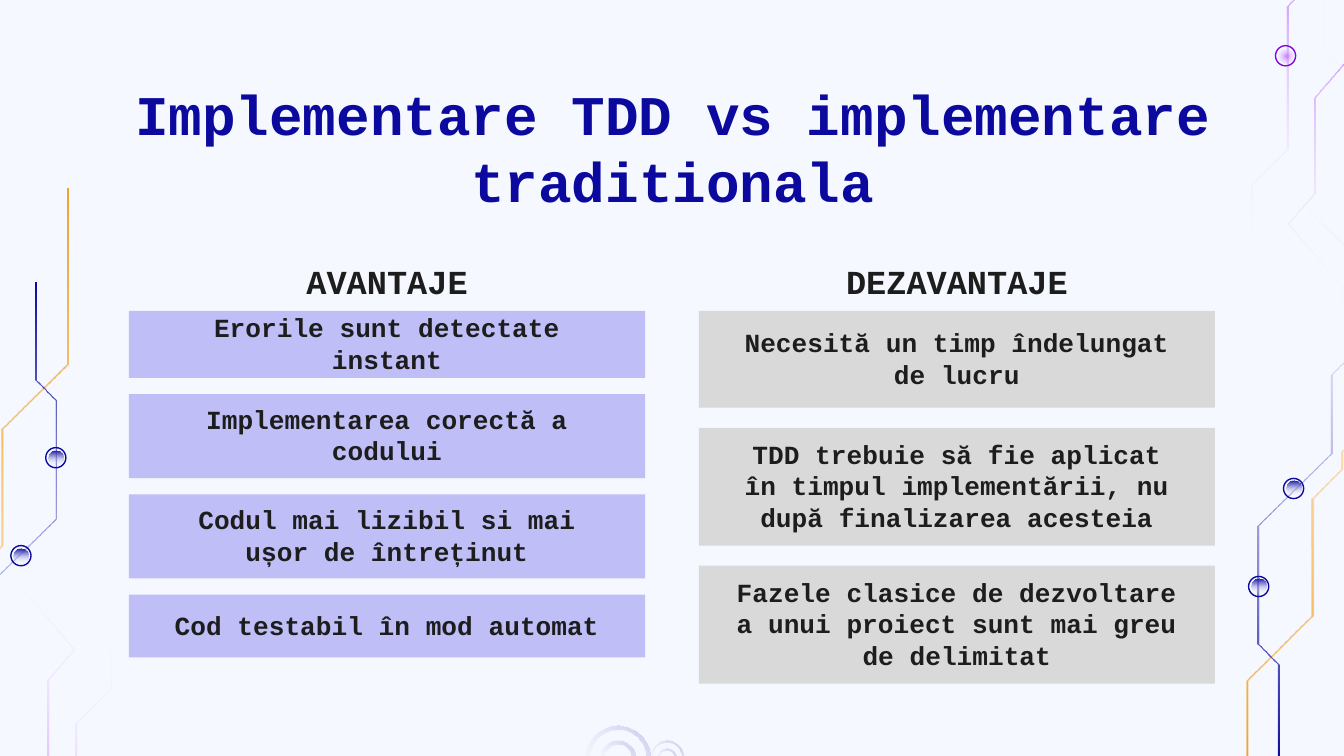
"""Build a slide comparing the advantages and drawbacks of TDD."""
from pptx import Presentation
from pptx.dml.color import RGBColor
from pptx.enum.shapes import MSO_SHAPE
from pptx.enum.text import MSO_ANCHOR, PP_ALIGN
from pptx.oxml import parse_xml
from pptx.oxml.ns import nsdecls, qn
from pptx.util import Pt

RECTANGLE, OVAL, DONUT = MSO_SHAPE.RECTANGLE, MSO_SHAPE.OVAL, MSO_SHAPE.DONUT
TOP, MIDDLE, BOTTOM = MSO_ANCHOR.TOP, MSO_ANCHOR.MIDDLE, MSO_ANCHOR.BOTTOM
CENTER = PP_ALIGN.CENTER
color = RGBColor.from_string
NAVY, VIOLET, INK = "0C0A9E", "8208D5", "1D1D1D"
CLEAR = (100, "FFFFFF", 0)
ORANGE_FADE = [(0, "EB9109", 100), (40, "FF9900", 41), CLEAR]
BLUE_FADE = [(0, NAVY, 100), CLEAR]
PURPLE_FADE = [(0, "9900FF", 47), CLEAR]
RING_FADE = [(0, NAVY, 20), CLEAR]


def fill_gradient(shape, stops, angle=None):
    """Fill a shape with a fading gradient, radial when no angle is given."""
    shape.shadow.inherit = False
    shape.line.fill.background()
    shape.fill.background()
    stop_xml = "".join(
        f'<a:gs pos="{position * 1000}"><a:srgbClr val="{value}">'
        f'<a:alpha val="{opacity * 1000}"/></a:srgbClr></a:gs>'
        for position, value, opacity in stops)
    if angle is None:
        direction = ('<a:path path="circle"><a:fillToRect l="50000" t="50000" '
                     'r="50000" b="50000"/></a:path>')
    else:
        direction = f'<a:lin ang="{angle * 60000}" scaled="0"/>'
    gradient = parse_xml(f'<a:gradFill {nsdecls("a")} rotWithShape="1"><a:gsLst>'
                         f'{stop_xml}</a:gsLst>{direction}</a:gradFill>')
    properties = shape._element.spPr
    properties.replace(properties.find(qn("a:noFill")), gradient)


def write(shape, text, size, value, anchor, margins=(7.2, 7.2, 7.2, 7.2)):
    """Put one centred bold text into a shape."""
    frame = shape.text_frame
    frame.word_wrap = True
    frame.vertical_anchor = anchor
    left, top, right, bottom = margins
    frame.margin_left, frame.margin_top = Pt(left), Pt(top)
    frame.margin_right, frame.margin_bottom = Pt(right), Pt(bottom)
    paragraph = frame.paragraphs[0]
    paragraph.alignment = CENTER
    run = paragraph.add_run()
    run.text = text
    run.font.name = "Courier New"
    run.font.size = Pt(size)
    run.font.bold = True
    run.font.color.rgb = color(value)


presentation = Presentation()
presentation.slide_width, presentation.slide_height = Pt(720), Pt(405)
slide = presentation.slides.add_slide(presentation.slide_layouts[6])
slide.background.fill.solid()
slide.background.fill.fore_color.rgb = color("F5F8FF")
shapes = slide.shapes

# Each trace: fade, angle, sums of mirrored coordinates, centre line
circuit_turn, corner_turn = (704.2, 559.4), (730.1, 467.6)
traces = [
    (ORANGE_FADE, 90, circuit_turn, [
        (36, 100.8), (36, 195), (1, 229.8), (1, 292.3), (-14.8, 308.2),
        (-14.8, 317.5), (-23.4, 326.2), (-23.4, 365.3), (-40.7, 382.7),
        (-40.7, 408.2), (-53.3, 420.5), (-53.3, 483.8), (-5.4, 532), (-5.4, 586.8)]),
    (BLUE_FADE, 90, circuit_turn, [
        (19, 151.2), (19, 203.4), (29.9, 214.5), (29.9, 277.9), (-9, 316.4),
        (-9, 358.6), (-26.3, 376.2), (-26.3, 417.3), (11.5, 455.4), (11.5, 483.1)]),
    (PURPLE_FADE, 270, corner_turn, [
        (14.8, 490), (40.7, 464.4), (40.7, 387.7), (59.4, 369), (59.4, 334.8)]),
    (PURPLE_FADE, 270, corner_turn, [
        (-13.7, 461.5), (25.6, 415.1), (25.6, 364), (39.6, 347.8),
        (11.2, 314.3), (11.2, 297.4)]),
]
for stops, angle, (sum_x, sum_y), line in traces:
    turned = [(sum_x - x, sum_y - y) for x, y in line]
    for points, direction in ((line, angle), (turned, (angle + 180) % 360)):
        outline = [(Pt(x - 0.5), Pt(y)) for x, y in points]
        outline += [(Pt(x + 0.5), Pt(y)) for x, y in reversed(points)]
        builder = shapes.build_freeform(*outline[0])
        builder.add_line_segments(outline[1:], close=True)
        fill_gradient(builder.convert_to_shape(), stops, direction)

nodes = [(x, y, NAVY, BLUE_FADE, 90) for x, y in
         ((29.9, 245.2), (11.2, 297.7), (674.3, 314.2), (693, 261.7))]
nodes.append((688.7, 29.9, VIOLET, PURPLE_FADE, None))
for x, y, border, stops, angle in nodes:
    ring = shapes.add_shape(OVAL, Pt(x - 5.4), Pt(y - 5.4), Pt(10.8), Pt(10.8))
    ring.shadow.inherit = False
    ring.fill.background()
    ring.line.color.rgb = color(border)
    ring.line.width = Pt(0.75)
    core = shapes.add_shape(OVAL, Pt(x - 4), Pt(y - 4), Pt(8), Pt(8))
    fill_gradient(core, stops, angle)

for x, size, thickness in ((331.2, 34.6, 0.07), (331.2, 19, 0.12),
                           (357.3, 18, 0.07), (357.3, 10, 0.13)):
    ripple = shapes.add_shape(DONUT, Pt(x - size / 2), Pt(406 - size / 2), Pt(size), Pt(size))
    ripple.adjustments[0] = thickness
    fill_gradient(ripple, RING_FADE, 135)

title = shapes.add_textbox(Pt(56.9), Pt(35.3), Pt(607), Pt(45.4))
write(title, "Implementare TDD vs implementare traditionala", 30, NAVY, TOP)

columns = [
    ("AVANTAJE", 69.1, "BFBEF7", 8.7, [
        ("Erorile sunt detectate instant", 36),
        ("Implementarea corectă a codului", 45),
        ("Codul mai lizibil si mai ușor de întreținut", 45),
        ("Cod testabil în mod automat", 33.6)]),
    ("DEZAVANTAJE", 374.4, "D9D9D9", 10.7, [
        ("Necesită un timp îndelungat de lucru", 52),
        ("TDD trebuie să fie aplicat în timpul implementării, nu după finalizarea acesteia", 63.2),
        ("Fazele clasice de dezvoltare a unui proiect sunt mai greu de delimitat", 63.2)]),
]
card_width, heading_width = 276.5, 181.4
for heading, left, fill, gap, cards in columns:
    heading_left = left + (card_width - heading_width) / 2
    box = shapes.add_textbox(Pt(heading_left), Pt(113), Pt(heading_width), Pt(55.4))
    write(box, heading, 18, INK, BOTTOM)
    top = 166.5
    for text, height in cards:
        card = shapes.add_shape(RECTANGLE, Pt(left), Pt(top), Pt(card_width), Pt(height))
        card.shadow.inherit = False
        card.fill.solid()
        card.fill.fore_color.rgb = color(fill)
        card.line.fill.background()
        write(card, text, 14, INK, MIDDLE, (19.8, 0, 19.8, 1.5))
        top += height + gap

presentation.save("out.pptx")
